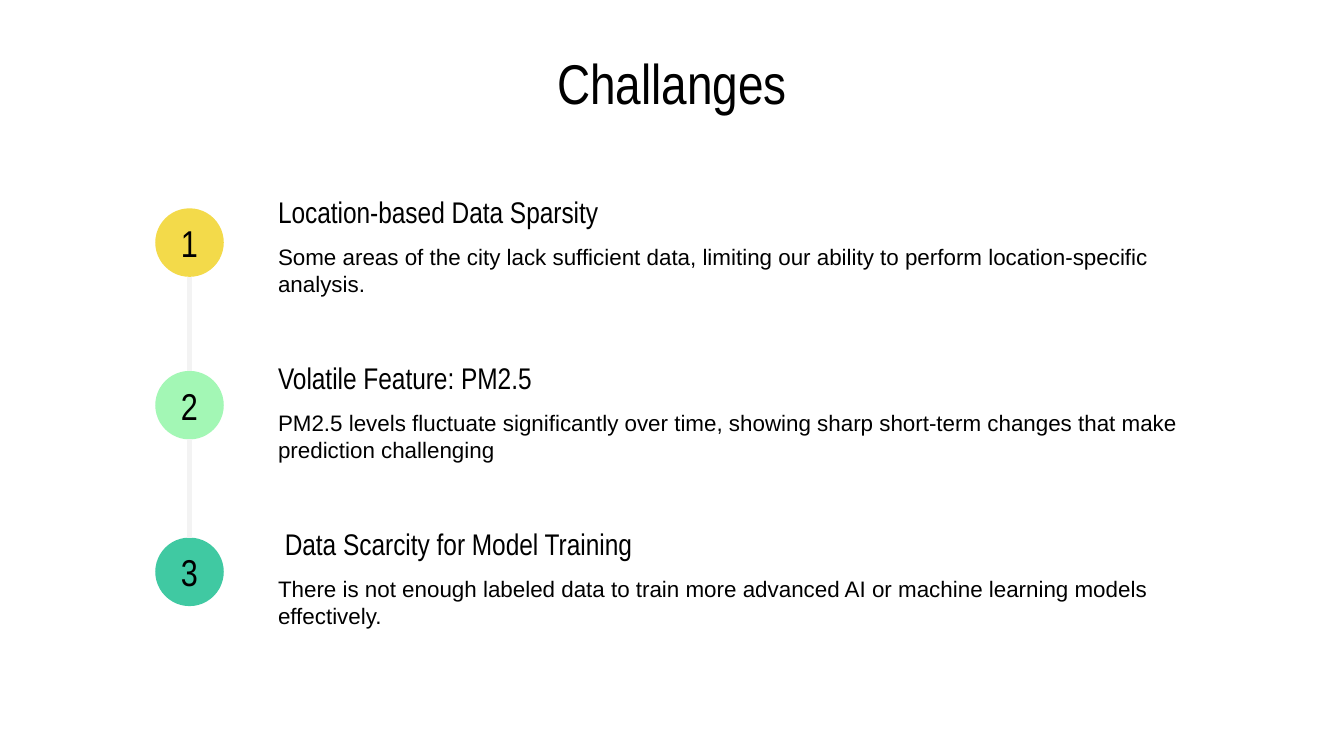
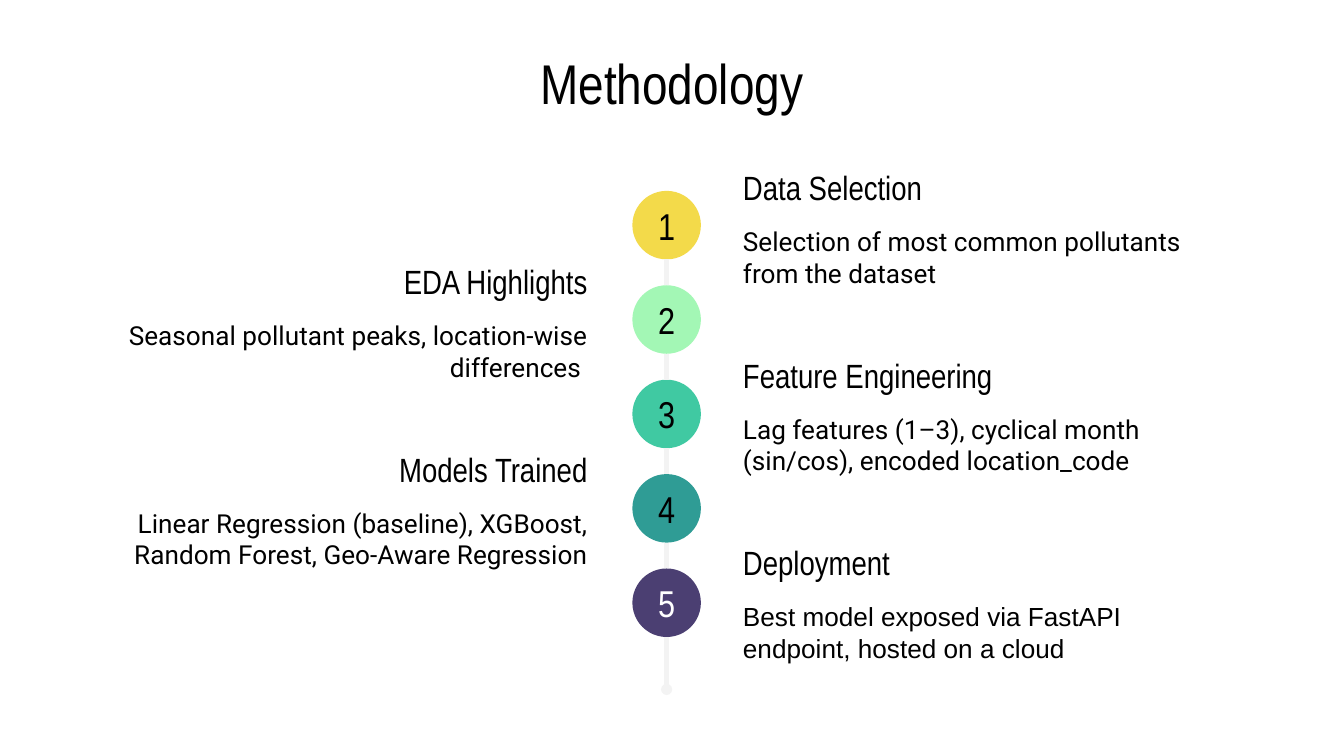
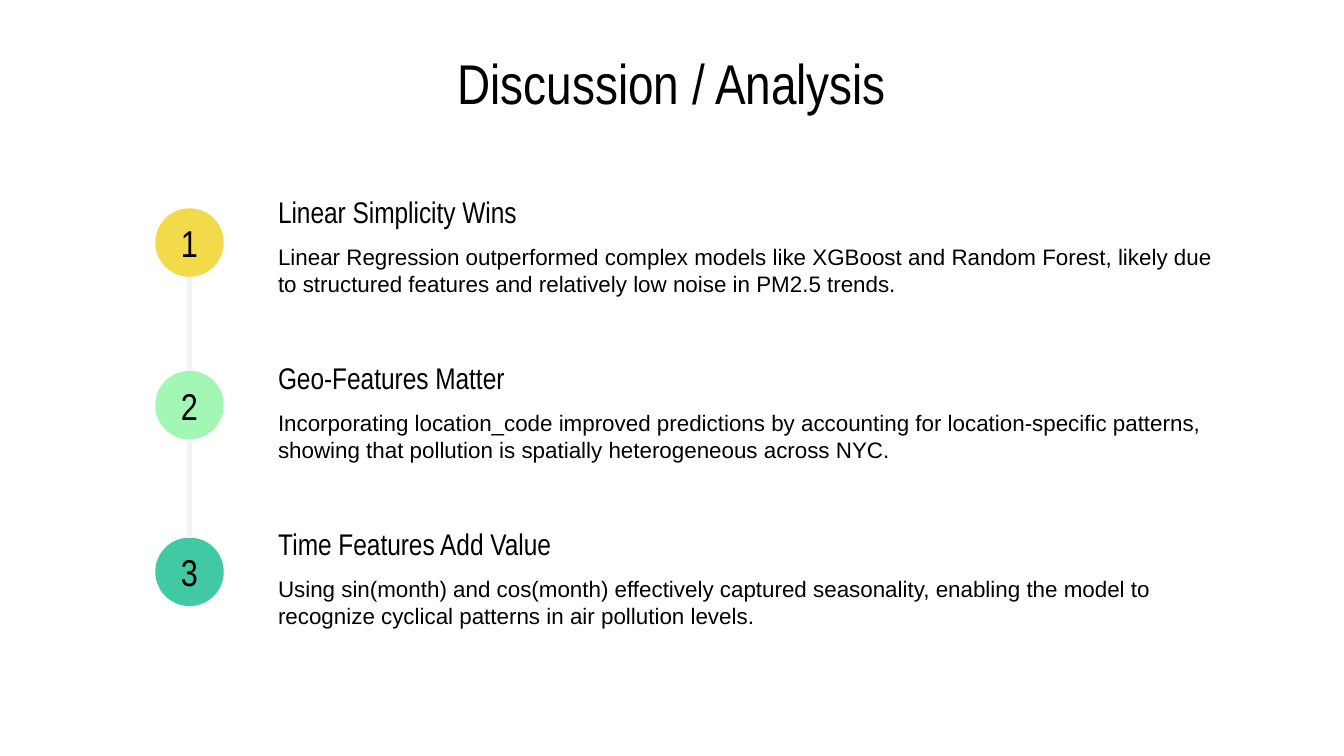
from itertools import pairwise

from lxml.etree import SubElement
from pptx import Presentation
from pptx.dml.color import RGBColor
from pptx.enum.shapes import MSO_CONNECTOR, MSO_SHAPE
from pptx.enum.text import MSO_ANCHOR, PP_ALIGN
from pptx.oxml.ns import qn
from pptx.util import Inches, Pt

# Shared look
BLACK = RGBColor(0x00, 0x00, 0x00)
WHITE = RGBColor(0xFF, 0xFF, 0xFF)
RAIL_GREY = RGBColor(0xF3, 0xF3, 0xF3)
YELLOW = RGBColor(0xF3, 0xDA, 0x4A)
MINT = RGBColor(0xA3, 0xF7, 0xB5)
GREEN = RGBColor(0x40, 0xC9, 0xA2)
TEAL = RGBColor(0x2F, 0x9C, 0x95)
PURPLE = RGBColor(0x4B, 0x3F, 0x72)
STEP_COLORS = [YELLOW, MINT, GREEN, TEAL, PURPLE]

HEADING_FONT = "Arial Narrow"
BADGE_SIZE = 0.51

# Text of the slides
CHALLENGES = [
    ("Location-based Data Sparsity",
     "Some areas of the city lack sufficient data, limiting our ability to "
     "perform location-specific analysis."),
    ("Volatile Feature: PM2.5",
     "PM2.5 levels fluctuate significantly over time, showing sharp "
     "short-term changes that make prediction challenging"),
    (" Data Scarcity for Model Training",
     "There is not enough labeled data to train more advanced AI or machine "
     "learning models effectively."),
]
METHOD_STEPS = [
    ("Data Selection",
     "Selection of most common pollutants from the dataset", "Roboto"),
    ("EDA Highlights",
     "Seasonal pollutant peaks, location-wise differences ", "Roboto"),
    ("Feature Engineering",
     "Lag features (1–3), cyclical month (sin/cos), encoded location_code",
     "Roboto"),
    ("Models Trained",
     "Linear Regression (baseline), XGBoost, Random Forest, "
     "Geo-Aware Regression", "Roboto"),
    ("Deployment",
     "Best model exposed via FastAPI endpoint, hosted on a cloud", "Arial"),
]
FINDINGS = [
    ("Linear Simplicity Wins",
     "Linear Regression outperformed complex models like XGBoost and Random "
     "Forest, likely due to structured features and relatively low noise in "
     "PM2.5 trends."),
    ("Geo-Features Matter",
     "Incorporating location_code improved predictions by accounting for "
     "location-specific patterns, showing that pollution is spatially "
     "heterogeneous across NYC."),
    ("Time Features Add Value",
     "Using sin(month) and cos(month) effectively captured seasonality, "
     "enabling the model to recognize cyclical patterns in air pollution "
     "levels."),
]


def write_text(shape, text, size, font=HEADING_FONT, color=BLACK,
               align=PP_ALIGN.LEFT, anchor=MSO_ANCHOR.MIDDLE):
    frame = shape.text_frame
    frame.word_wrap = True
    frame.vertical_anchor = anchor
    frame.margin_left = frame.margin_right = Inches(0.1)
    frame.margin_top = frame.margin_bottom = Inches(0.1)
    frame.text = text
    paragraph = frame.paragraphs[0]
    paragraph.alignment = align
    for span in paragraph.runs:
        span.font.name = font
        span.font.size = Pt(size)
        span.font.color.rgb = color


def add_text(page, left, top, width, height, text, size, **style):
    box = page.shapes.add_textbox(
        Inches(left), Inches(top), Inches(width), Inches(height))
    write_text(box, text, size, **style)


def add_page(deck, title):
    page = deck.slides.add_slide(deck.slide_layouts[6])
    page.background.fill.solid()
    page.background.fill.fore_color.rgb = WHITE
    add_text(page, 0.5, 0.45, 9, 0.51, title, 30,
             align=PP_ALIGN.CENTER, anchor=MSO_ANCHOR.BOTTOM)
    return page


def add_badge(page, center, top, number):
    badge = page.shapes.add_shape(
        MSO_SHAPE.OVAL, Inches(center - BADGE_SIZE / 2), Inches(top),
        Inches(BADGE_SIZE), Inches(BADGE_SIZE))
    badge.shadow.inherit = False
    fill_color = STEP_COLORS[number - 1]
    badge.fill.solid()
    badge.fill.fore_color.rgb = fill_color
    badge.line.fill.background()
    write_text(badge, str(number), 20, align=PP_ALIGN.CENTER,
               color=WHITE if fill_color == PURPLE else BLACK)


def add_rail(page, center, top, bottom, round_end=False):
    rail = page.shapes.add_connector(
        MSO_CONNECTOR.STRAIGHT, Inches(center), Inches(top),
        Inches(center), Inches(bottom))
    rail.line.color.rgb = RAIL_GREY
    rail.line.width = Pt(3)
    if round_end:
        SubElement(rail.line._get_or_add_ln(), qn("a:tailEnd"),
                   type="oval", w="sm", len="sm")
    SubElement(rail._element.spPr, qn("a:effectLst"))


def add_timeline(page, center, tops):
    """Numbered badges joined by vertical rails."""
    for number, top in enumerate(tops, start=1):
        add_badge(page, center, top, number)
    for upper, lower in pairwise(tops):
        add_rail(page, center, upper + BADGE_SIZE, lower)


def add_list_page(deck, title, items):
    """Three points beside a timeline on the left."""
    page = add_page(deck, title)
    for row, (heading, body) in enumerate(items):
        top = 1.42 + row * 2.47 / 2
        add_text(page, 1.97, top + 0.29, 7.22, 0.57, body, 12,
                 font="Arial", anchor=MSO_ANCHOR.TOP)
        add_text(page, 1.97, top, 7.22, 0.31, heading, 16)
    add_timeline(page, 1.41, [1.55, 2.76, 4])


def add_method_page(deck, title, steps):
    """Steps alternating right and left of a central timeline."""
    page = add_page(deck, title)
    center = 4.96
    badge_tops = [1.42 + row * 2.81 / 4 for row in range(len(steps))]
    add_timeline(page, center, badge_tops)
    add_rail(page, center, badge_tops[-1] + BADGE_SIZE, 5.13, round_end=True)
    for row, (heading, body, font) in enumerate(steps):
        top = 1.21 + row * 2.79 / 4
        on_right = row % 2 == 0
        left = 5.43 if on_right else 0.67
        align = PP_ALIGN.LEFT if on_right else PP_ALIGN.RIGHT
        add_text(page, left, top + 0.37, 3.8, 0.59, body, 14, font=font,
                 align=align, anchor=MSO_ANCHOR.TOP)
        add_text(page, left, top, 3.8, 0.37, heading, 18, align=align)


def main():
    deck = Presentation()
    # Widescreen, 16:9
    deck.slide_width = Inches(10)
    deck.slide_height = Inches(10 * 9 / 16)
    add_list_page(deck, "Challanges", CHALLENGES)
    add_method_page(deck, "Methodology", METHOD_STEPS)
    add_list_page(deck, "Discussion / Analysis", FINDINGS)
    deck.save("out.pptx")


if __name__ == "__main__":
    main()
